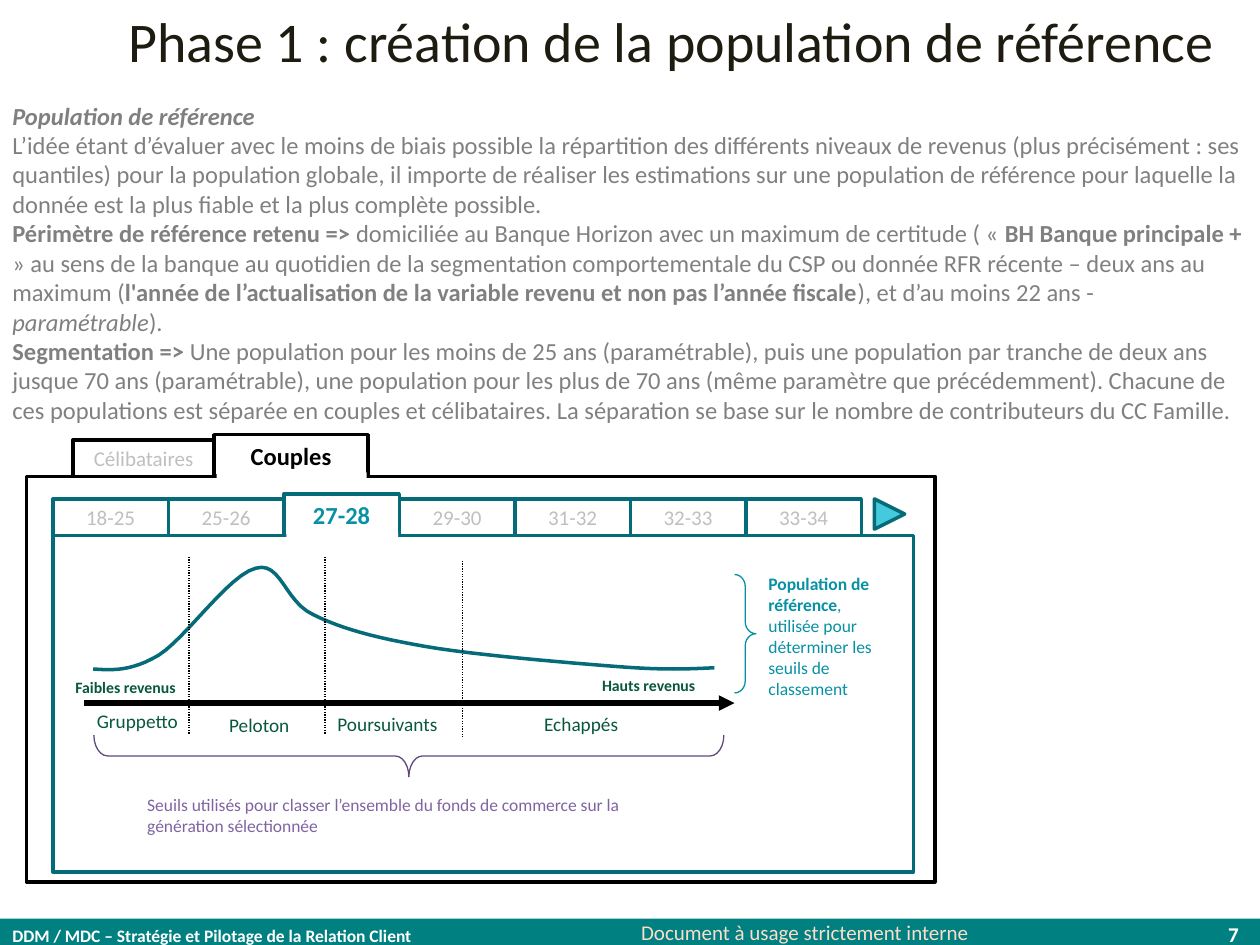
from lxml import etree
from pptx import Presentation
from pptx.dml.color import RGBColor
from pptx.enum import dml, shapes, text
from pptx.oxml import ns
from pptx.util import Inches, Pt

WHITE = RGBColor(0xFF, 0xFF, 0xFF)
BLACK = RGBColor(0, 0, 0)
GREY = RGBColor(0x80, 0x80, 0x80)
LIGHT_GREY = RGBColor(0xBF, 0xBF, 0xBF)
FOOTER_TEAL = RGBColor(0, 0x80, 0x80)
PEACH = RGBColor(0xFC, 0xDD, 0xCB)
DARK_TEAL = RGBColor(0x06, 0x6B, 0x79)
TEAL = RGBColor(0x08, 0x91, 0xA4)
BRACE_TEAL = RGBColor(0x04, 0x91, 0xA4)
CYAN = RGBColor(0x44, 0xCA, 0xDC)
GREEN = RGBColor(0x08, 0x58, 0x3D)
PURPLE = RGBColor(0x80, 0x64, 0xA2)
DARK_PURPLE = RGBColor(0x60, 0x4A, 0x7B)
TITLE_COLOUR = RGBColor(0x1E, 0x1C, 0x11)

TITLE = "Phase 1 : création de la population de référence"
BODY = [
    [("Population de référence", "bi")],
    [("L’idée étant d’évaluer avec le moins de biais possible la répartition des différents niveaux de revenus "
      "(plus précisément : ses quantiles) pour la population globale, il importe de réaliser les estimations sur "
      "une population de référence pour laquelle la donnée est la plus fiable et la plus complète possible.", "")],
    [("Périmètre de référence retenu =>", "b"),
     (" domiciliée au Banque Horizon avec un maximum de certitude ( « ", ""),
     ("BH Banque principale + ", "b"),
     ("» au sens de la banque au quotidien de la segmentation comportementale du CSP ou donnée RFR récente – "
      "deux ans au maximum (", ""),
     ("l'année de l’actualisation de la variable revenu et non pas l’année fiscale", "b"),
     ("), et d’au moins 22 ans - ", ""),
     ("paramétrable", "i"),
     (").", "")],
    [("Segmentation => ", "b"),
     ("Une population pour les moins de 25 ans (paramétrable), puis une population par tranche de deux ans jusque "
      "70 ans (paramétrable), une population pour les plus de 70 ans (même paramètre que précédemment). Chacune de "
      "ces populations est séparée en couples et célibataires. La séparation se base sur le nombre de contributeurs "
      "du CC Famille.", "")],
]
REFERENCE_NOTE = [[("Population de référence", "b"),
                   (", utilisée pour déterminer les seuils de classement", "")]]
THRESHOLD_NOTE = ("Seuils utilisés pour classer l’ensemble du fonds de commerce sur la "
                  "génération sélectionnée")
AGE_TABS = ["18-25", "25-26", "27-28", "29-30", "31-32", "32-33", "33-34"]
ACTIVE_AGE = "27-28"
REVENUE_LABELS = [("Faibles revenus", 0.5, 5.33), ("Hauts revenus", 4.68, 5.31)]
GROUPS = [("Gruppetto", 0.67, 5.58, 1), ("Peloton", 1.72, 5.61, 0.83),
          ("Poursuivants", 2.58, 5.6, 1.04), ("Echappés", 4.22, 5.6, 1.04)]
THRESHOLDS = [(1.5, 4.42), (2.58, 4.42), (3.67, 4.45)]
CURVE_START = (0.74, 5.31)
CURVE = [
    ((0.89, 5.32), (1.04, 5.33), (1.26, 5.2)),
    ((1.47, 5.07), (1.82, 4.56), (2.03, 4.51)),
    ((2.23, 4.45), (2.26, 4.78), (2.49, 4.88)),
    ((2.71, 4.99), (2.97, 5.06), (3.37, 5.13)),
    ((3.77, 5.2), (4.51, 5.26), (4.89, 5.29)),
    ((5.27, 5.32), (5.47, 5.31), (5.67, 5.3)),
]
CURVE_STEPS = 12
TAB_WIDTH = 5.5 / 6

presentation = Presentation()
presentation.slide_width, presentation.slide_height = Inches(10), Inches(7.5)
slide = presentation.slides.add_slide(presentation.slide_layouts[6])


def write(shape, content, size, colour, bold=None, align=text.PP_ALIGN.LEFT, anchor=text.MSO_ANCHOR.TOP):
    frame = shape.text_frame
    frame.word_wrap = True
    frame.vertical_anchor = anchor
    paragraphs = [[(content, "")]] if isinstance(content, str) else content
    for index, runs in enumerate(paragraphs):
        paragraph = frame.paragraphs[0] if index == 0 else frame.add_paragraph()
        paragraph.alignment = align
        paragraph.font.name = "Calibri"
        paragraph.font.size = Pt(size)
        paragraph.font.color.rgb = colour
        paragraph.font.bold = bold
        for words, style in runs:
            run = paragraph.add_run()
            run.text = words
            if "b" in style:
                run.font.bold = True
            if "i" in style:
                run.font.italic = True


def add_text(box, content, size, colour, **options):
    shape = slide.shapes.add_textbox(*map(Inches, box))
    write(shape, content, size, colour, **options)


def style(shape, fill=None, line=None, width=2):
    shape.shadow.inherit = False
    if fill is None:
        shape.fill.background()
    else:
        shape.fill.solid()
        shape.fill.fore_color.rgb = fill
    if line is None:
        shape.line.fill.background()
    else:
        shape.line.color.rgb = line
        shape.line.width = Pt(width)


def add_shape(kind, box, **look):
    shape = slide.shapes.add_shape(kind, *map(Inches, box))
    style(shape, **look)
    return shape


def add_rectangle(box, **look):
    return add_shape(shapes.MSO_SHAPE.RECTANGLE, box, **look)


def add_tab(label, left, bottom, width, line, active_colour=None):
    height = 0.33 if active_colour is not None else 0.29
    tab = add_rectangle((left, bottom - height, width, height), line=line)
    active = active_colour is not None
    write(tab, label, 14 if active else 12, active_colour if active else LIGHT_GREY, bold=active,
          align=text.PP_ALIGN.CENTER, anchor=text.MSO_ANCHOR.MIDDLE)
    if active:
        add_rectangle((left + 0.02, bottom - 0.03, width - 0.03, 0.06), fill=WHITE)


def add_line(start, end, width):
    line = slide.shapes.add_connector(shapes.MSO_CONNECTOR.STRAIGHT, *map(Inches, start + end))
    line.line.color.rgb = BLACK
    line.line.width = Pt(width)
    etree.SubElement(line._element.spPr, ns.qn("a:effectLst"))
    return line


def add_brace(box, adjustment, colour, rotation=0):
    brace = add_shape(shapes.MSO_SHAPE.RIGHT_BRACE, box, line=colour, width=0.75)
    brace.adjustments[0] = adjustment
    brace.rotation = rotation


def curve_points():
    start = CURVE_START
    for first, second, end in CURVE:
        for step in range(1, CURVE_STEPS + 1):
            t = step / CURVE_STEPS
            s = 1 - t
            yield tuple(Inches(s**3 * a + 3 * s * s * t * b + 3 * s * t * t * c + t**3 * d)
                        for a, b, c, d in zip(start, first, second, end))
        start = end


add_rectangle((-0.01, 7.29, 10.01, 0.24), fill=FOOTER_TEAL)
add_text((0, 7.29, 5.71, 0.27), "DDM / MDC – Stratégie et Pilotage de la Relation Client", 10, WHITE, bold=True)
add_text((4.99, 7.25, 3.26, 0.3), "Document à usage strictement interne", 12, PEACH)
add_text((8.83, 7.29, 1.1, 0.24), "7", 12, WHITE, bold=True,
         align=text.PP_ALIGN.RIGHT, anchor=text.MSO_ANCHOR.MIDDLE)
add_text((0.92, 0, 8.88, 0.64), TITLE, 32, TITLE_COLOUR)
add_text((0, 0.75, 10, 2.46), BODY, 14, GREY)

add_rectangle((0.42, 4.25, 6.83, 2.67), line=DARK_TEAL)
for index, label in sorted(enumerate(AGE_TABS), key=lambda item: item[1] == ACTIVE_AGE):
    add_tab(label, 0.42 + index * TAB_WIDTH, 4.25, TAB_WIDTH, DARK_TEAL,
            TEAL if label == ACTIVE_AGE else None)
next_arrow = add_shape(shapes.MSO_SHAPE.ISOSCELES_TRIANGLE, (6.94, 3.96, 0.24, 0.24), fill=CYAN, line=DARK_TEAL)
next_arrow.rotation = 90

axis = add_line((0.67, 5.58), (5.83, 5.58), 3)
etree.SubElement(axis.line._get_or_add_ln(), ns.qn("a:tailEnd"), type="triangle")
for label, left, top in REVENUE_LABELS:
    add_text((left, top, 1.17, 0.25), label, 9, GREEN, bold=True)

builder = slide.shapes.build_freeform(*map(Inches, CURVE_START))
builder.add_line_segments(list(curve_points()), close=False)
style(builder.convert_to_shape(), line=DARK_TEAL)

add_brace((5.83, 4.56, 0.17, 0.94), 0.56, BRACE_TEAL)
add_text((6, 4.5, 1.18, 1.11), REFERENCE_NOTE, 10, TEAL)
for left, top in THRESHOLDS:
    threshold = add_line((left, top), (left, top + 1.41), 0.75)
    threshold.line.dash_style = dml.MSO_LINE.ROUND_DOT
add_brace((3.08, 3.5, 0.33, 5), 0.33, DARK_PURPLE, rotation=90)
add_text((1.07, 6.25, 4.39, 0.44), THRESHOLD_NOTE, 10, PURPLE)

add_rectangle((0.21, 3.78, 7.21, 3.22), line=BLACK)
add_tab("Célibataires", 0.58, 3.78, 1.12, BLACK)
add_tab("Couples", 1.7, 3.78, 1.22, BLACK, BLACK)
for label, left, top, width in GROUPS:
    add_text((left, top, width, 0.29), label, 11, GREEN)

presentation.save("out.pptx")
